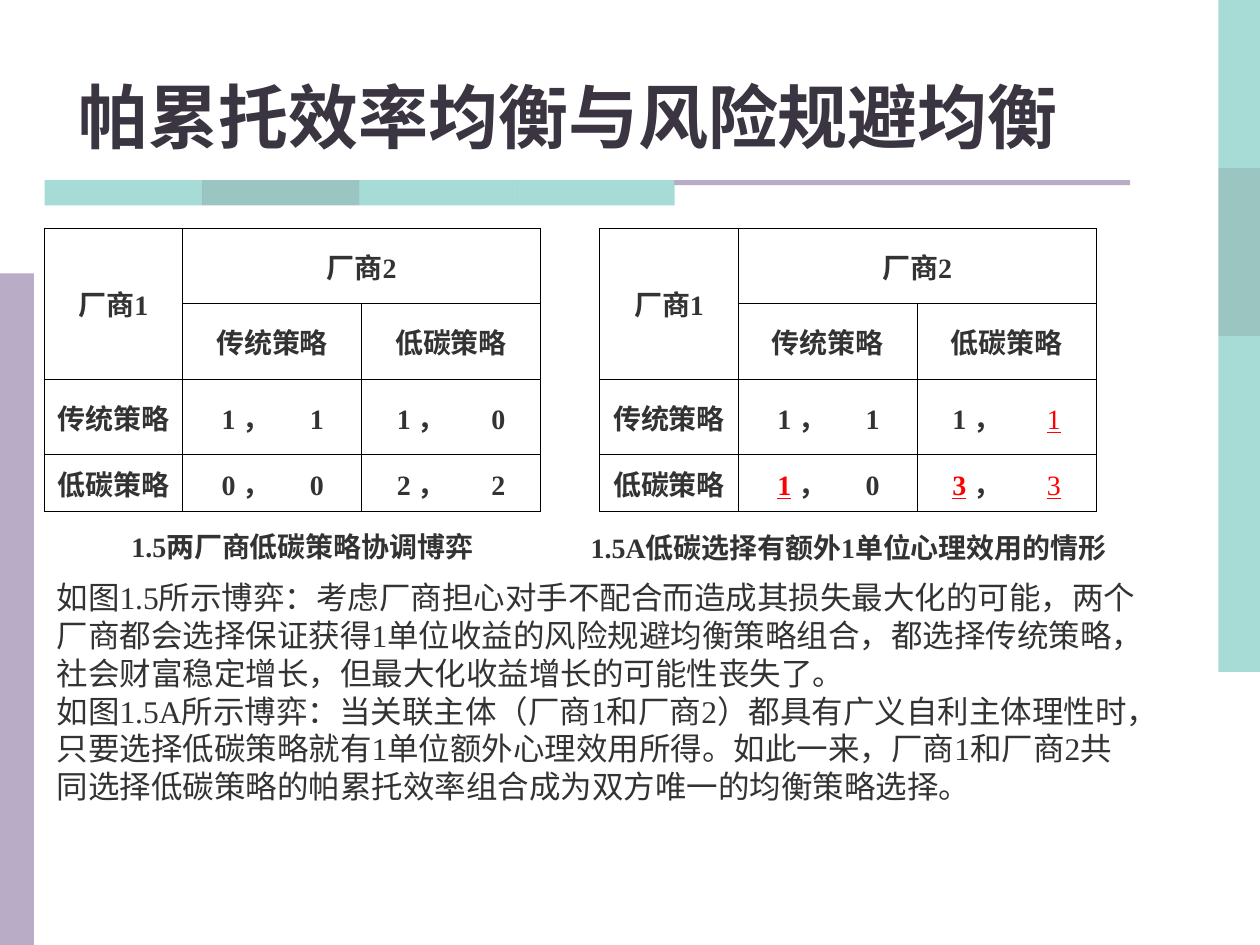
"""Build a slide comparing Pareto-efficient and risk-averse equilibria."""
from dataclasses import dataclass

import pptx
import pptx.dml.color
import pptx.enum.shapes
import pptx.enum.text
import pptx.oxml
import pptx.oxml.ns
import pptx.util
from pptx.util import Inches

SERIF, SANS = "Times New Roman", "DejaVu Sans"
INK, TITLE_INK, RED = "333333", "3A3541", "FF0000"
TEAL, DARK_TEAL, LILAC = "51B9AF", "398D85", "B8ACC6"
ALIGN = pptx.enum.text.PP_ALIGN
ANCHOR = pptx.enum.text.MSO_ANCHOR
COLUMNS = (1.1, 1.42, 1.42)
ROWS = (0.6, 0.6, 0.6, 0.45)
STRATEGIES = ("传统策略", "低碳策略")
PAYOFF_STOPS = ((0.31, 0.7), (0.28, 0.75))


@dataclass(frozen=True)
class Span:
    text: str
    bold: bool = False
    color: str = INK
    underline: bool = False
    font: str = SERIF


@dataclass(frozen=True)
class Bar:
    left: float
    top: float
    width: float
    height: float
    color: str
    opacity: int = 100


@dataclass(frozen=True)
class Payoff:
    first: str
    second: str
    first_marked: bool = False
    second_marked: bool = False


@dataclass(frozen=True)
class Game:
    left: float
    payoffs: tuple[tuple[Payoff, Payoff], tuple[Payoff, Payoff]]


BARS = (
    *(Bar(9.67, 4 / 3 * i, 0.33, 4 / 3, color, 50)
      for i, color in enumerate((TEAL, DARK_TEAL, TEAL, TEAL))),
    Bar(0, 2.17, 0.27, 5.33, LILAC),
    *(Bar(0.355 + 1.25 * i, 1.43, 1.25, 0.2, color, 50)
      for i, color in enumerate((TEAL, DARK_TEAL, TEAL, TEAL))),
    Bar(5.35, 1.43, 3.62, 0.04, LILAC),
)
GAMES = (
    Game(0.35, ((Payoff("1", "1"), Payoff("1", "0")),
                (Payoff("0", "0"), Payoff("2", "2")))),
    Game(4.76, ((Payoff("1", "1"), Payoff("1", "1", second_marked=True)),
                (Payoff("1", "0", True), Payoff("3", "3", True, True)))),
)
BODY = (
    (Span("如图1.5所示博弈：考虑厂商担心对手不配合而造成其损失最大化的可能，"
          "两个厂商都会选择保证获得1单位收益的风险规避均衡策略组合，"
          "都选择传统策略，社会财富稳定增长，但最大化收益增长的可能性丧失了。"),),
    (Span("如图1.5A所示博弈：当关联主体（厂商1和厂商2）都具有广义自利主体理性时，"
          "只要选择低碳策略就有1单位额外心理效用所得"),
     Span("。如此一来，", font=SANS),
     Span("厂商1和厂商2共同"),
     Span("选择低碳策略的帕累托效率组合成为双方唯一的均衡策略选择。", font=SANS)),
)


def rgb(color: str) -> pptx.dml.color.RGBColor:
    """Turn a hex string into a colour."""
    return pptx.dml.color.RGBColor.from_string(color)


def write(para, spans: tuple[Span, ...], size: int, align=ALIGN.LEFT) -> None:
    """Fill a paragraph with formatted spans."""
    para.alignment = align
    for span in spans:
        run = para.add_run()
        run.text = span.text
        run.font.size = pptx.util.Pt(size)
        run.font.name = span.font
        run.font.bold = span.bold
        run.font.underline = span.underline
        run.font.color.rgb = rgb(span.color)


def draw_bar(page, bar: Bar) -> None:
    """Draw one decorative bar."""
    shape = page.shapes.add_shape(
        pptx.enum.shapes.MSO_SHAPE.RECTANGLE,
        Inches(bar.left), Inches(bar.top), Inches(bar.width), Inches(bar.height))
    shape.shadow.inherit = False
    shape.line.fill.background()
    shape.fill.solid()
    shape.fill.fore_color.rgb = rgb(bar.color)
    if bar.opacity < 100:
        tint = next(shape.element.iter(pptx.oxml.ns.qn("a:srgbClr")))
        tint.append(pptx.oxml.parse_xml(
            f'<a:alpha {pptx.oxml.ns.nsdecls("a")} val="{bar.opacity * 1000}"/>'))


def add_text(page, left: float, top: float, width: float, height: float,
             paragraphs: tuple[tuple[Span, ...], ...], size: int,
             align=ALIGN.LEFT, anchor=ANCHOR.TOP) -> None:
    """Add a wrapped text box."""
    box = page.shapes.add_textbox(
        Inches(left), Inches(top), Inches(width), Inches(height))
    frame = box.text_frame
    frame.word_wrap = True
    frame.vertical_anchor = anchor
    for i, spans in enumerate(paragraphs):
        para = frame.add_paragraph() if i else frame.paragraphs[0]
        write(para, spans, size, align)


def style_cell(cell) -> None:
    """Give a cell thin black borders and no fill."""
    properties = cell._tc.get_or_add_tcPr()
    for side in "LRTB":
        properties.append(pptx.oxml.parse_xml(
            f'<a:ln{side} {pptx.oxml.ns.nsdecls("a")} w="5715"><a:solidFill>'
            f'<a:srgbClr val="000000"/></a:solidFill></a:ln{side}>'))
    cell.fill.background()
    cell.vertical_anchor = ANCHOR.MIDDLE


def write_payoff(cell, payoff: Payoff, margin: float, stop: float) -> None:
    """Write a payoff pair with the second value at a tab stop."""
    cell.margin_left = Inches(margin)
    para = cell.text_frame.paragraphs[0]
    para._p.get_or_add_pPr().append(pptx.oxml.parse_xml(
        f'<a:tabLst {pptx.oxml.ns.nsdecls("a")}>'
        f'<a:tab pos="{Inches(stop)}" algn="l"/></a:tabLst>'))
    first = Span(payoff.first, True, RED if payoff.first_marked else INK,
                 payoff.first_marked)
    second = Span(payoff.second, not payoff.second_marked,
                  RED if payoff.second_marked else INK, payoff.second_marked)
    write(para, (first, Span(" ，\t", True), second), 16)


def draw_game(page, game: Game) -> None:
    """Draw one payoff matrix."""
    table = page.shapes.add_table(
        len(ROWS), len(COLUMNS), Inches(game.left), Inches(1.81),
        Inches(sum(COLUMNS)), Inches(sum(ROWS))).table
    table.first_row = table.horz_banding = False
    for column, width in zip(table.columns, COLUMNS):
        column.width = Inches(width)
    for row, height in zip(table.rows, ROWS):
        row.height = Inches(height)
    for cell in table.iter_cells():
        style_cell(cell)
    table.cell(0, 0).merge(table.cell(1, 0))
    table.cell(0, 1).merge(table.cell(0, 2))
    labels = {(0, 0): "厂商1", (0, 1): "厂商2"}
    for i, strategy in enumerate(STRATEGIES):
        labels[1, i + 1] = labels[i + 2, 0] = strategy
    for position, label in labels.items():
        para = table.cell(*position).text_frame.paragraphs[0]
        write(para, (Span(label, True),), 16, ALIGN.CENTER)
    for i, pair in enumerate(game.payoffs):
        for j, payoff in enumerate(pair):
            write_payoff(table.cell(i + 2, j + 1), payoff, *PAYOFF_STOPS[j])


def main() -> None:
    """Build and save the deck."""
    deck = pptx.Presentation()
    deck.slide_width, deck.slide_height = Inches(10), Inches(7.5)
    page = deck.slides.add_slide(deck.slide_layouts[5])
    for bar in BARS:
        draw_bar(page, bar)
    title = page.shapes.title
    title.left, title.top = Inches(0), Inches(0.44)
    title.width, title.height = Inches(9.02), Inches(0.86)
    title.text_frame.vertical_anchor = ANCHOR.BOTTOM
    title.text_frame.auto_size = pptx.enum.text.MSO_AUTO_SIZE.NONE
    write(title.text_frame.paragraphs[0],
          (Span("帕累托效率均衡与风险规避均衡", True, TITLE_INK),), 40, ALIGN.CENTER)
    for game in GAMES:
        draw_game(page, game)
    add_text(page, 0.59, 4.15, 3.62, 0.37, ((Span("1.5两厂商低碳策略协调博弈", True),),),
             16, ALIGN.CENTER, ANCHOR.MIDDLE)
    add_text(page, 4.53, 4.02, 4.41, 0.64,
             ((Span("1.5A低碳选择有额外1单位心理效用的情形", True),),),
             16, ALIGN.CENTER, ANCHOR.MIDDLE)
    add_text(page, 0.35, 4.54, 8.82, 1.9, BODY, 18)
    deck.save("out.pptx")


if __name__ == "__main__":
    main()
